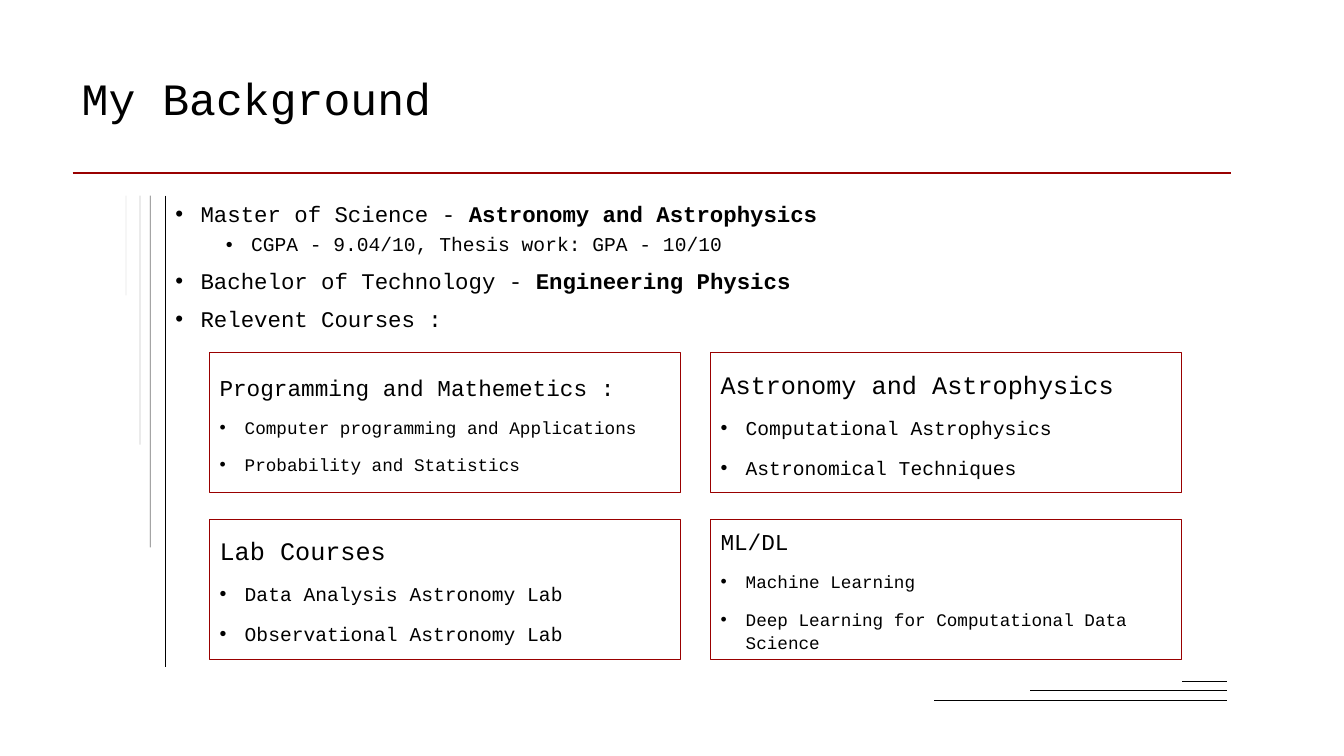
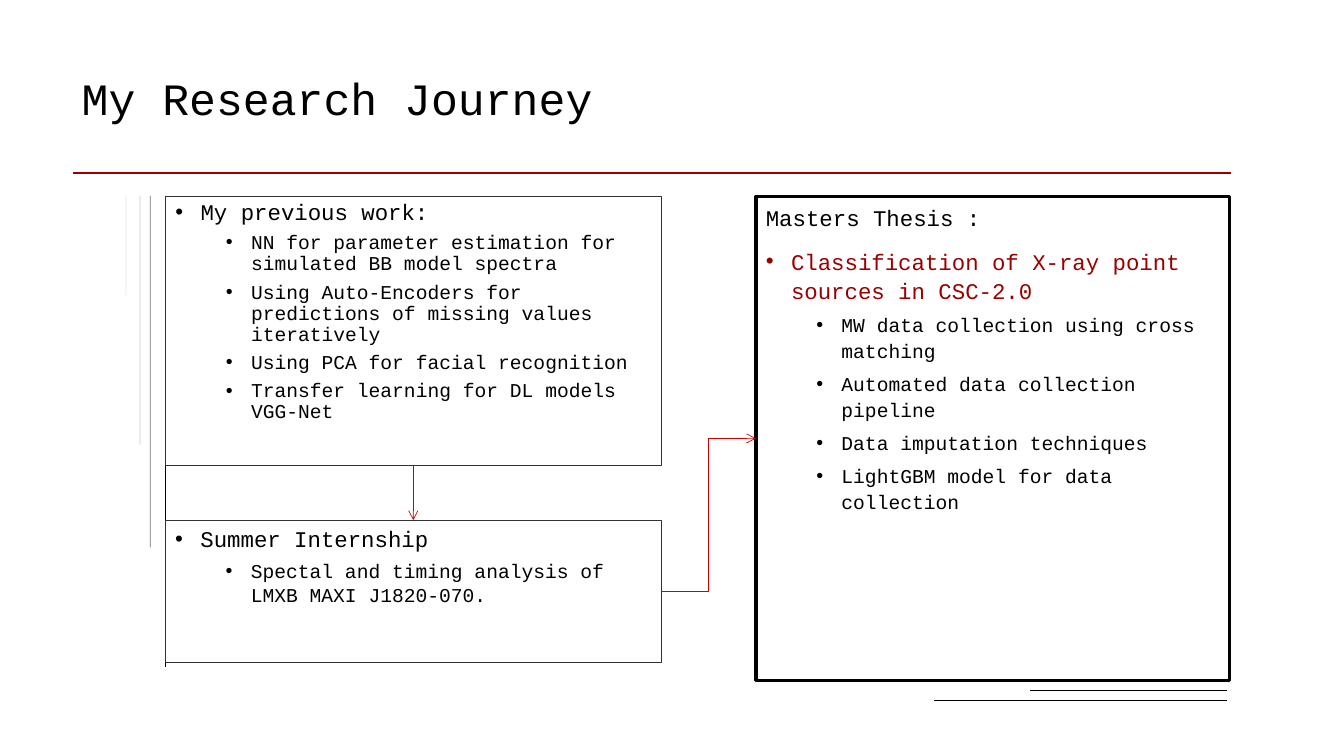
from lxml.etree import SubElement
from pptx import Presentation
from pptx.dml.color import RGBColor
from pptx.enum.shapes import MSO_CONNECTOR as Link, MSO_SHAPE as Shape
from pptx.enum.text import MSO_ANCHOR as Anchor, MSO_AUTO_SIZE as Fit, PP_ALIGN as Align
from pptx.oxml.ns import qn
from pptx.util import Inches, Pt

BLACK = RGBColor(0x00, 0x00, 0x00)
CHARCOAL = RGBColor(0x32, 0x32, 0x32)
MAROON = RGBColor(0x99, 0x00, 0x00)
RED = RGBColor(0xCC, 0x00, 0x00)
FONT = "Courier New"

# The slide is a grid of 80 columns by 45 rows of square cells.
COLUMNS, ROWS = 80, 45
CELL = Inches(1) / 6
HANG = Inches(0.25)
LEVEL_INDENT = Inches(0.5)
TOP, BOTTOM, LEFT, RIGHT = 0, 2, 1, 3  # connection sites of a rectangle

TITLE_AREA = (4.26, 1.68, 69, 8.7)
LIST_AREA = (9.84, 11.82, 63.42, 8.52)
MARGIN_TOP = 11.64
MARGIN_LINES = [(9.84, 39.72, 100), (8.94, 32.58, 55), (8.34, 26.46, 22), (7.5, 17.58, 9)]
CORNER_RIGHT = 73.02
CORNER_LINES = [(55.62, 41.7), (61.32, 41.1), (70.38, 40.56)]


def grid(*cells):
    """Turn columns and rows into slide lengths."""
    return [round(cell * CELL) for cell in cells]


def place(shape, area):
    """Move a shape to an area of the grid."""
    shape.left, shape.top, shape.width, shape.height = grid(*area)


def write(frame, text, size=16, bold_end="", color=BLACK, level=None, leading=1.0, before=10):
    """Add one paragraph; a level gives it a bullet, bold_end a bold ending."""
    paragraph = frame.paragraphs[0]
    if paragraph.runs:
        paragraph = frame.add_paragraph()
    paragraph.alignment = Align.LEFT
    paragraph.line_spacing = leading
    paragraph.space_before, paragraph.space_after = Pt(before), Pt(0)
    if level is not None:
        paragraph.level = level
        properties = paragraph._p.get_or_add_pPr()
        properties.set("marL", str(HANG + level * LEVEL_INDENT))
        properties.set("indent", str(-HANG))
        SubElement(properties, qn("a:buFont")).set("typeface", "Arial")
        SubElement(properties, qn("a:buChar")).set("char", "•")
    for part, bold in ((text, False), (bold_end, True)):
        if part:
            run = paragraph.add_run()
            run.text = part
            run.font.name, run.font.size, run.font.bold = FONT, Pt(size), bold
            run.font.color.rgb = color


class Deck:
    """Holds the shared style and the current slide."""

    def __init__(self):
        """Set the slide size and prepare the shared layout."""
        self.show = Presentation()
        self.show.slide_width, self.show.slide_height = grid(COLUMNS, ROWS)
        self.layout = self.show.slide_layouts[1]
        place(self.layout.placeholders[0], TITLE_AREA)
        place(self.layout.placeholders[1], LIST_AREA)
        self.slide = None

    def new_slide(self, title):
        """Start a slide with its title."""
        self.slide = self.show.slides.add_slide(self.layout)
        heading = self.slide.shapes.title
        self.prepare(heading.text_frame, Anchor.MIDDLE)
        write(heading.text_frame, title, size=32, leading=0.9, before=0)

    def prepare(self, frame, anchor=Anchor.TOP):
        """Give a text frame the shared settings."""
        frame.word_wrap = True
        frame.auto_size = Fit.NONE
        frame.vertical_anchor = anchor

    def body(self, area=LIST_AREA):
        """Move the list placeholder and return it."""
        listing = self.slide.placeholders[1]
        place(listing, area)
        self.prepare(listing.text_frame)
        return listing

    def outline(self, shape, color, width=0.75):
        """Give a shape an outline."""
        shape.line.color.rgb = color
        shape.line.width = Pt(width)

    def box(self, area, color, width=0.75, anchor=Anchor.TOP):
        """Draw an unfilled rectangle for text."""
        frame_box = self.slide.shapes.add_shape(Shape.RECTANGLE, *grid(*area))
        frame_box.shadow.inherit = False
        frame_box.fill.background()
        self.outline(frame_box, color, width)
        self.prepare(frame_box.text_frame, anchor)
        return frame_box

    def line(self, ends, color=BLACK, width=0.5, opacity=100, kind=Link.STRAIGHT):
        """Draw a line between two grid points."""
        stroke = self.slide.shapes.add_connector(kind, *grid(*ends))
        self.outline(stroke, color, width)
        SubElement(stroke.element.spPr, qn("a:effectLst"))
        if opacity < 100:
            tint = stroke.element.spPr.find(".//" + qn("a:srgbClr"))
            SubElement(tint, qn("a:alpha")).set("val", str(opacity * 1000))
        return stroke

    def arrow(self, source, exit_site, target, entry_site, kind=Link.STRAIGHT):
        """Join two boxes with an arrow."""
        stroke = self.line((0, 0, 1, 1), RED, kind=kind)
        stroke.begin_connect(source, exit_site)
        stroke.end_connect(target, entry_site)
        SubElement(stroke.line._get_or_add_ln(), qn("a:tailEnd")).set("type", "arrow")

    def decorate_layout(self):
        """Put the rule, margin lines and corner lines on the layout."""
        strokes = [self.line((4.32, 10.32, 73.26, 10.32), MAROON, 1.5)]
        strokes += [self.line((x, MARGIN_TOP, x, end), opacity=opacity)
                    for x, end, opacity in MARGIN_LINES]
        strokes += [self.line((CORNER_RIGHT, y, start, y)) for start, y in CORNER_LINES]
        for number, stroke in enumerate(strokes, start=20):
            stroke.element.find(".//" + qn("p:cNvPr")).set("id", str(number))
            self.layout.shapes.element.append(stroke.element)

    def course_card(self, column, row, heading, courses, scale):
        """Draw one card of the course grid."""
        area = (12.48 + 29.82 * column, 21 + 9.9 * row, 28.02, 8.34)
        frame = self.box(area, MAROON, anchor=Anchor.MIDDLE).text_frame
        write(frame, heading, size=18 * scale, leading=1.1)
        for course in courses:
            write(frame, course, size=14 * scale, level=0, leading=1.1)

    def details(self, frame, items, leading):
        """Add second-level bullets."""
        for item in items:
            write(frame, item, size=14, level=1, leading=leading, before=5)


def background_slide(deck):
    """Build the slide on degrees and courses."""
    deck.new_slide("My Background")
    deck.decorate_layout()
    degrees = deck.body().text_frame
    write(degrees, "Master of Science - ", bold_end="Astronomy and Astrophysics",
          level=0, leading=0.9)
    deck.details(degrees, ["CGPA - 9.04/10, Thesis work: GPA - 10/10"], 0.9)
    write(degrees, "Bachelor of Technology - ", bold_end="Engineering Physics",
          level=0, leading=0.9)
    write(degrees, "Relevent Courses :", level=0, leading=0.9)
    courses = [
        ("Programming and Mathemetics :",
         ["Computer programming and Applications", "Probability and Statistics"], 0.9),
        ("Astronomy and Astrophysics",
         ["Computational Astrophysics", "Astronomical Techniques"], 1),
        ("Lab Courses",
         ["Data Analysis Astronomy Lab", "Observational Astronomy Lab"], 1),
        ("ML/DL",
         ["Machine Learning", "Deep Learning for Computational Data Science"], 0.9),
    ]
    for index, course in enumerate(courses):
        row, column = divmod(index, 2)
        deck.course_card(column, row, *course)


def journey_slide(deck):
    """Build the slide on research work."""
    deck.new_slide("My Research Journey")
    previous = deck.body((9.84, 11.7, 29.52, 16.02))
    deck.outline(previous, CHARCOAL)
    write(previous.text_frame, "My previous work:", level=0, leading=0.9)
    deck.details(previous.text_frame, [
        "NN for parameter estimation for simulated BB model spectra",
        "Using Auto-Encoders for predictions of missing values iteratively",
        "Using PCA for facial recognition",
        "Transfer learning for DL models VGG-Net",
    ], 0.9)

    internship = deck.box((9.84, 30.96, 29.52, 8.46), CHARCOAL)
    write(internship.text_frame, "Summer Internship", level=0)
    deck.details(internship.text_frame,
                 ["Spectal and timing analysis of LMXB MAXI J1820-070."], 1.0)

    thesis = deck.box((45, 11.7, 28.2, 28.8), BLACK, 2.25)
    write(thesis.text_frame, "Masters Thesis :", leading=1.1)
    write(thesis.text_frame, "Classification of X-ray point sources in CSC-2.0",
          color=MAROON, level=0, leading=1.1)
    deck.details(thesis.text_frame, [
        "MW data collection using cross matching",
        "Automated data collection pipeline",
        "Data imputation techniques",
        "LightGBM model for data collection",
    ], 1.1)

    deck.arrow(previous, BOTTOM, internship, TOP)
    deck.arrow(internship, RIGHT, thesis, LEFT, kind=Link.ELBOW)


deck = Deck()
background_slide(deck)
journey_slide(deck)
deck.show.save("out.pptx")
